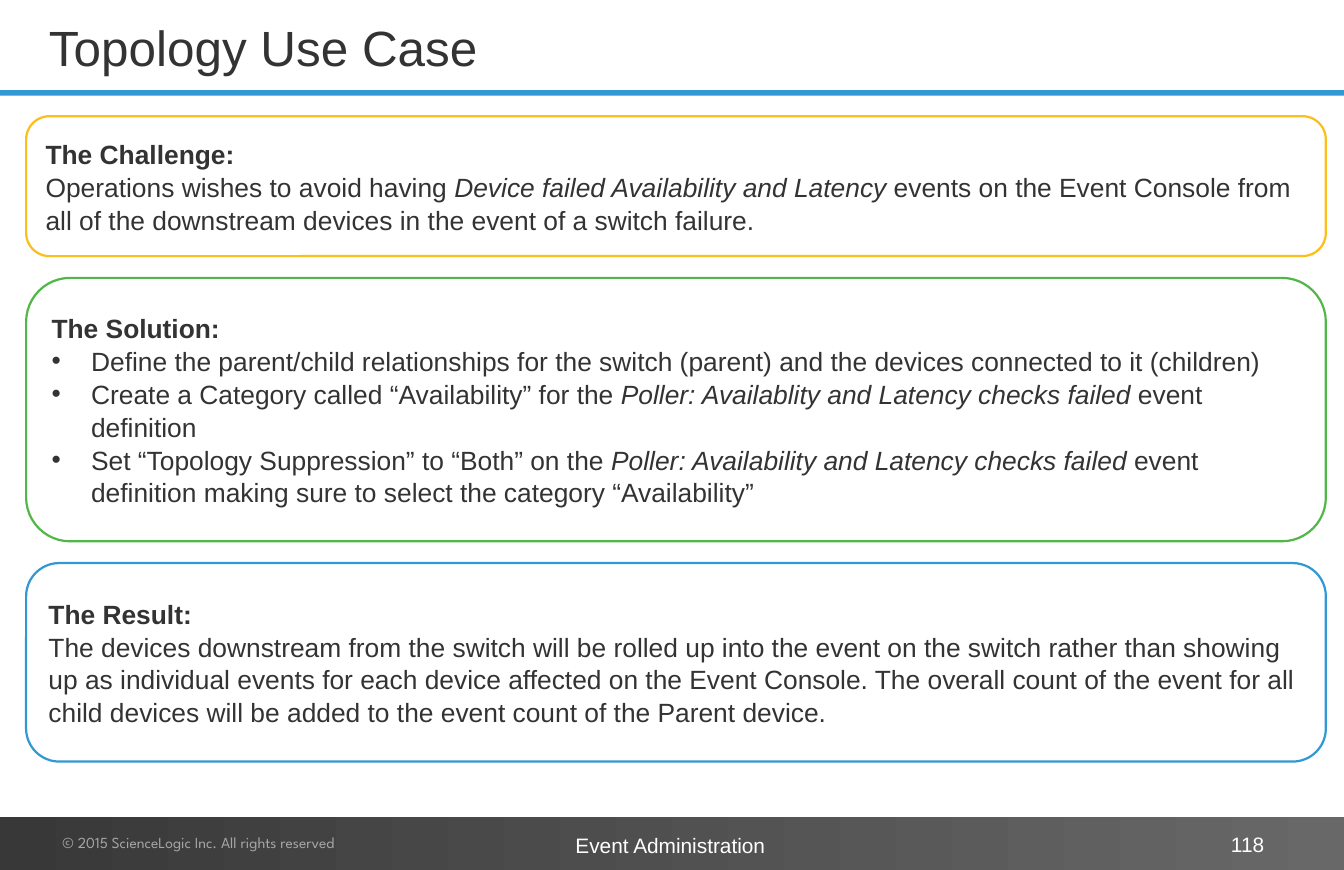
from dataclasses import dataclass

from lxml.etree import SubElement
from pptx import Presentation
from pptx.dml.color import RGBColor
from pptx.enum.shapes import MSO_SHAPE as Shape
from pptx.enum.text import MSO_ANCHOR as Anchor, MSO_AUTO_SIZE as AutoSize, PP_ALIGN as Align
from pptx.oxml.ns import qn
from pptx.util import Pt


@dataclass(frozen=True)
class Theme:
    font: str = "Arial"
    copyright_font: str = "League Spartan"
    ink: str = "333333"
    white: str = "FFFFFF"
    muted: str = "A6A6A6"
    yellow: str = "FABF1B"
    green: str = "52B749"
    blue: str = "3298D4"
    footer_dark: str = "383838"
    footer_light: str = "686869"
    title_size: float = 45
    body_size: float = 24
    footer_size: float = 19
    copyright_size: float = 14


THEME = Theme()
WIDTH, HEIGHT = 1224, 792
CARD_LEFT, CARD_TOP, CARD_WIDTH, CARD_GAP = 23.8, 105.8, 1183.7, 19.8

# Each card: height, outline, heading, bulleted, paragraphs of (text, italic) runs.
CARDS = [
    (127.4, THEME.yellow, "The Challenge:", False, [
        [("Operations wishes to avoid having ", False),
         ("Device failed Availability and Latency ", True),
         ("events on the Event Console from all of the downstream devices "
          "in the event of a switch failure.", False)],
    ]),
    (239.8, THEME.green, "The Solution:", True, [
        [("Define the parent/child relationships for the switch (parent) "
          "and the devices connected to it (children)", False)],
        [("Create a Category called “Availability” for the ", False),
         ("Poller: Availablity and Latency checks failed", True),
         (" event definition", False)],
        [("Set “Topology Suppression” to “Both” on the ", False),
         ("Poller: Availability and Latency checks failed ", True),
         ("event definition making sure to select the category “Availability”", False)],
    ]),
    (180.7, THEME.blue, "The Result:", False, [
        [("The devices downstream from the switch will be rolled up into the event on "
          "the switch rather than showing up as individual events for each device "
          "affected on the Event Console. The overall count of the event for all child "
          "devices will be added to the event count of the Parent device.", False)],
    ]),
]


def rgb(color):
    return RGBColor.from_string(color)


def add_run(paragraph, text, size, color, font=THEME.font, bold=False, italic=False):
    run = paragraph.add_run()
    run.text = text
    run.font.name, run.font.size = font, Pt(size)
    run.font.bold, run.font.italic = bold, italic
    run.font.color.rgb = rgb(color)


def set_insets(frame):
    frame.margin_left = frame.margin_right = Pt(11.5)
    frame.margin_top = frame.margin_bottom = Pt(5.76)


def add_bullet(paragraph):
    properties = paragraph._p.get_or_add_pPr()
    properties.set("marL", str(Pt(36)))
    properties.set("indent", str(Pt(-36)))
    SubElement(properties, qn("a:buFont")).set("typeface", THEME.font)
    SubElement(properties, qn("a:buChar")).set("char", "•")


def add_block(slide, kind, left, top, width, height):
    block = slide.shapes.add_shape(kind, Pt(left), Pt(top), Pt(width), Pt(height))
    block.shadow.inherit = False
    block.line.fill.background()
    return block


def add_header(slide, left, top, width, height):
    title = slide.shapes.title
    title.left, title.top = Pt(left + 37.4), Pt(top + 0.7)
    title.width, title.height = Pt(1069), Pt(height)
    frame = title.text_frame
    frame.auto_size = AutoSize.NONE
    frame.vertical_anchor = Anchor.MIDDLE
    heading = frame.paragraphs[0]
    heading.alignment = Align.LEFT
    add_run(heading, "Topology Use Case", THEME.title_size, THEME.ink)

    rule = add_block(slide, Shape.RECTANGLE, left, top + 82, width, 5)
    rule.fill.solid()
    rule.fill.fore_color.rgb = rgb(THEME.blue)


def add_card(slide, left, top, width, height, outline, heading, bulleted, paragraphs):
    card = add_block(slide, Shape.ROUNDED_RECTANGLE, left, top, width, height)
    card.fill.solid()
    card.fill.fore_color.rgb = rgb(THEME.white)
    card.line.color.rgb = rgb(outline)
    card.line.width = Pt(2)

    frame = card.text_frame
    frame.word_wrap = True
    frame.vertical_anchor = Anchor.MIDDLE
    set_insets(frame)
    add_run(frame.paragraphs[0], heading, THEME.body_size, THEME.ink, bold=True)
    for runs in paragraphs:
        paragraph = frame.add_paragraph()
        if bulleted:
            add_bullet(paragraph)
        for text, italic in runs:
            add_run(paragraph, text, THEME.body_size, THEME.ink, italic=italic)
    for paragraph in frame.paragraphs:
        paragraph.alignment = Align.LEFT
        paragraph.line_spacing = 1.04


def add_footer_text(slide, left, top, width, height, text, size, color,
                    font=THEME.font, align=Align.LEFT, anchor=Anchor.TOP, wrap=True):
    label = slide.shapes.add_textbox(Pt(left), Pt(top), Pt(width), Pt(height))
    frame = label.text_frame
    frame.word_wrap = wrap
    frame.vertical_anchor = anchor
    set_insets(frame)
    frame.paragraphs[0].alignment = align
    add_run(frame.paragraphs[0], text, size, color, font)


def add_footer(slide, left, top, width, height):
    band = add_block(slide, Shape.RECTANGLE, left, top, width, height)
    band.fill.gradient()
    band.fill.gradient_angle = 0
    for stop, color in zip(band.fill.gradient_stops, (THEME.footer_dark, THEME.footer_light)):
        stop.color.rgb = rgb(color)

    add_footer_text(slide, left + 45.4, top + 9.3, 360, 28.8,
                    "© 2015 ScienceLogic Inc. All rights reserved",
                    THEME.copyright_size, THEME.muted, font=THEME.copyright_font)
    add_footer_text(slide, left + 877, top + 9.3, 285.8, 31, "118",
                    THEME.footer_size, THEME.white, align=Align.RIGHT, anchor=Anchor.MIDDLE)
    add_footer_text(slide, left + 512.6, top + 8.6, 198.7, 34.6, "Event Administration",
                    THEME.footer_size, THEME.white, wrap=False)


def main():
    deck = Presentation()
    deck.slide_width, deck.slide_height = Pt(WIDTH), Pt(HEIGHT)
    slide = deck.slides.add_slide(deck.slide_layouts.get_by_name("Title Only"))

    add_header(slide, 0, 0, WIDTH, 84.2)
    top = CARD_TOP
    for height, *content in CARDS:
        add_card(slide, CARD_LEFT, top, CARD_WIDTH, height, *content)
        top += height + CARD_GAP
    add_footer(slide, 0, 743.8, WIDTH, HEIGHT - 743.8)
    deck.save("out.pptx")


if __name__ == "__main__":
    main()
